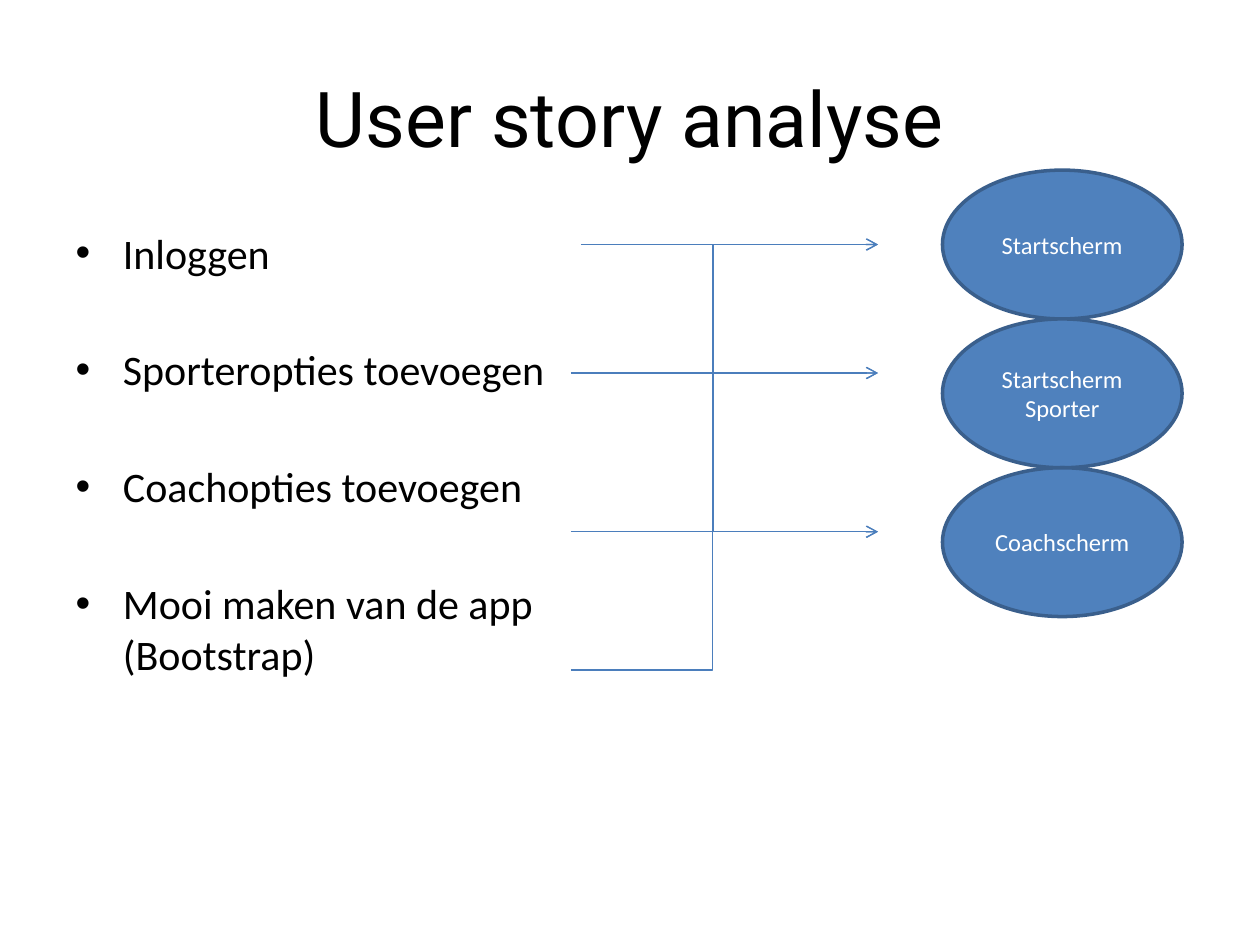
from lxml import etree
from pptx import Presentation
from pptx import util as u
from pptx.dml.color import RGBColor
from pptx.enum import shapes, text
from pptx.oxml import ns

BLACK = RGBColor(0x00, 0x00, 0x00)
WHITE = RGBColor(0xFF, 0xFF, 0xFF)
FILL = RGBColor(0x4F, 0x81, 0xBD)
OUTLINE = RGBColor(0x3A, 0x5F, 0x8C)
ARROW = RGBColor(0x4B, 0x7E, 0xBC)

TITLE = "User story analyse"
STORIES = [
    "Inloggen",
    "Sporteropties toevoegen",
    "Coachopties toevoegen",
    "Mooi maken van de app (Bootstrap)",
]
SCREENS = ["Startscherm", "Startscherm\nSporter", "Coachscherm"]

LOGIN_Y, SPORTER_Y, COACH_Y, STYLING_Y = 4.93, 7.52, 10.72, 13.51
STORY_X, BRANCH_X, ARROW_END_X = 11.51, 14.4, 17.7
STRAIGHT_ARROWS = [(11.71, LOGIN_Y), (STORY_X, SPORTER_Y), (STORY_X, COACH_Y)]
BENT_ARROWS = [
    (STORY_X, STYLING_Y, COACH_Y, 46100),
    (BRANCH_X, COACH_Y, SPORTER_Y, -800),
    (BRANCH_X, SPORTER_Y, LOGIN_Y, -800),
]
SCREEN_LEFT, SCREEN_TOP, SCREEN_WIDTH, SCREEN_HEIGHT = 19, 3.43, 4.83, 3


def place(shape, left, top, width, height):
    shape.left, shape.top = u.Cm(left), u.Cm(top)
    shape.width, shape.height = u.Cm(width), u.Cm(height)


def set_font(paragraph, name, size, color):
    paragraph.font.name = name
    paragraph.font.size = u.Pt(size)
    paragraph.font.color.rgb = color


def add_arrow(slide, kind, start_x, start_y, end_y, bend=None):
    arrow = slide.shapes.add_connector(
        kind, u.Cm(start_x), u.Cm(start_y), u.Cm(ARROW_END_X), u.Cm(end_y))
    arrow.line.color.rgb = ARROW
    arrow.line.width = u.Pt(0.75)
    properties = arrow.line._get_or_add_ln()
    etree.SubElement(properties, ns.qn("a:tailEnd"), type="arrow")
    etree.SubElement(arrow._element.spPr, ns.qn("a:effectLst"))
    if bend is not None:
        adjustments = arrow._element.spPr.find(".//" + ns.qn("a:avLst"))
        etree.SubElement(adjustments, ns.qn("a:gd"), name="adj1", fmla=f"val {bend}")


def add_screen(slide, index, label):
    screen = slide.shapes.add_shape(shapes.MSO_SHAPE.OVAL, 0, 0, 0, 0)
    place(screen, SCREEN_LEFT, SCREEN_TOP + index * SCREEN_HEIGHT,
          SCREEN_WIDTH, SCREEN_HEIGHT)
    screen.shadow.inherit = False
    screen.fill.solid()
    screen.fill.fore_color.rgb = FILL
    screen.line.color.rgb = OUTLINE
    screen.line.width = u.Pt(2)
    screen.text_frame.text = label
    screen.text_frame.vertical_anchor = text.MSO_ANCHOR.MIDDLE
    for paragraph in screen.text_frame.paragraphs:
        paragraph.alignment = text.PP_ALIGN.CENTER
        set_font(paragraph, "Calibri", 14, WHITE)


def main():
    presentation = Presentation()
    presentation.slide_width, presentation.slide_height = u.Cm(25.4), u.Cm(19.05)
    slide = presentation.slides.add_slide(presentation.slide_layouts[1])

    title, body = slide.placeholders
    place(title, 1.27, 0.76, 22.86, 3.18)
    title.text_frame.text = TITLE
    set_font(title.text_frame.paragraphs[0], "Roboto", 44, BLACK)

    place(body, 1.27, 4.45, 12.22, 12.57)
    body.text_frame.text = "\n".join(STORIES)
    body.text_frame.auto_size = text.MSO_AUTO_SIZE.NONE
    for index, paragraph in enumerate(body.text_frame.paragraphs):
        paragraph.space_before = u.Pt(38 if index else 0)
        set_font(paragraph, "Calibri", 24, BLACK)

    for start_x, y in STRAIGHT_ARROWS:
        add_arrow(slide, shapes.MSO_CONNECTOR.STRAIGHT, start_x, y, y)
    for start_x, start_y, end_y, bend in BENT_ARROWS:
        add_arrow(slide, shapes.MSO_CONNECTOR.ELBOW, start_x, start_y, end_y, bend)
    for index, label in enumerate(SCREENS):
        add_screen(slide, index, label)

    presentation.save("out.pptx")


if __name__ == "__main__":
    main()
